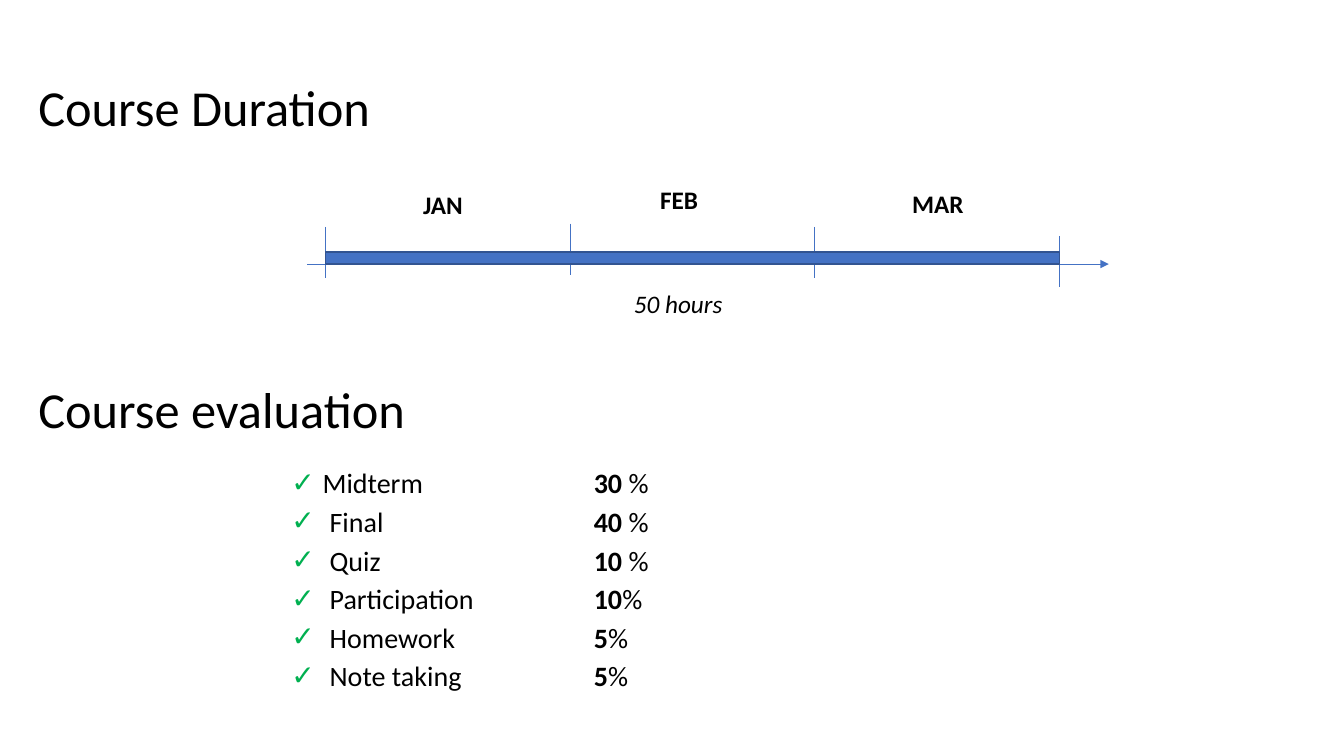
from typing import NamedTuple

from lxml.etree import SubElement
from pptx import Presentation
from pptx.dml.color import RGBColor
from pptx.enum.shapes import MSO_CONNECTOR, MSO_SHAPE
from pptx.enum.text import MSO_ANCHOR, MSO_AUTO_SIZE, PP_ALIGN
from pptx.oxml.ns import qn
from pptx.util import Inches, Pt

BLACK = RGBColor(0x00, 0x00, 0x00)
BLUE = RGBColor(0x44, 0x72, 0xC4)
NAVY = RGBColor(0x32, 0x54, 0x91)
GREEN = RGBColor(0x00, 0xB0, 0x50)

WIDTH, HEIGHT = Inches(13.33), Inches(7.5)
COL, ROW = WIDTH / 40, HEIGHT / 30

START, MONTH = 9.69, 7.28  # columns
AXIS, TICK = 10.48, 2.04  # rows
TAB = Inches(3)


class Box(NamedTuple):
    left: float
    top: float
    width: float
    height: float


class Label(NamedTuple):
    text: str
    box: Box
    style: dict


class Grade(NamedTuple):
    name: str
    share: str
    unit: str
    indent: float = 0.38


BOLD = {"size": Pt(18), "bold": True}
ITALIC = {"size": Pt(18), "italic": True}
HEAD = {"size": Pt(36)}
LIST = {"size": Pt(20), "bold": False}

LABELS = [
    Label("JAN", Box(12.3, 7.32, 1.8, 1.6), BOLD),
    Label("FEB", Box(19.35, 7.12, 1.74, 1.6), BOLD),
    Label("MAR", Box(26.85, 7.28, 2.16, 1.6), BOLD),
    Label("50 hours", Box(18.57, 11.24, 3.3, 1.6), ITALIC),
]
TICKS = [9, 8.88, 9, 9.36]
GRADES = [
    Grade("Midterm", "30", " %", 0.31),
    Grade("Final", "40", " %"),
    Grade("Quiz", "10", " %"),
    Grade("Participation", "10", "%"),
    Grade("Homework", "5", "%"),
    Grade("Note taking", "5", "%"),
]


def place(box: Box) -> list[int]:
    """Turn grid columns and rows into slide lengths."""
    return [round(v * unit) for v, unit in zip(box, (COL, ROW, COL, ROW))]


def move(shape, box: Box) -> None:
    for name, value in zip(Box._fields, place(box)):
        setattr(shape, name, value)


def write(para, text: str, style: dict) -> None:
    run = para.add_run()
    run.text = text
    for name, value in {"name": "Calibri", **style}.items():
        setattr(run.font, name, value)
    run.font.color.rgb = BLACK


def add_label(slide, label: Label) -> None:
    frame = slide.shapes.add_textbox(*place(label.box)).text_frame
    frame.word_wrap = False
    write(frame.paragraphs[0], label.text, label.style)


def add_head(shape, text: str, top: float) -> None:
    move(shape, Box(0.75, top, 14.67, 2.96))
    frame = shape.text_frame
    style = {
        "word_wrap": True,
        "auto_size": MSO_AUTO_SIZE.NONE,
        "vertical_anchor": MSO_ANCHOR.TOP,
        "margin_left": Inches(0.13),
        "margin_right": Inches(0.13),
        "margin_top": Inches(0.07),
        "margin_bottom": Inches(0.07),
    }
    for name, value in style.items():
        setattr(frame, name, value)
    para = frame.paragraphs[0]
    para.alignment = PP_ALIGN.LEFT
    write(para, text, HEAD)


def add_line(slide, left: float, top: float, width: float, height: float):
    x, y, w, h = place(Box(left, top, width, height))
    line = slide.shapes.add_connector(MSO_CONNECTOR.STRAIGHT, x, y, x + w, y + h)
    line.line.color.rgb = BLUE
    line.line.width = Pt(0.5)
    SubElement(line._element.spPr, qn("a:effectLst"))
    return line


def add_time(slide) -> None:
    """Draw the arrow, the month ticks and the bar over them."""
    axis = add_line(slide, 9.15, AXIS, 23.85, 0)
    SubElement(axis.line._get_or_add_ln(), qn("a:tailEnd"), type="triangle")
    for i, top in enumerate(TICKS):
        add_line(slide, START + i * MONTH, top, 0, TICK)
    box = Box(START, 10, 3 * MONTH, 0.48)
    bar = slide.shapes.add_shape(MSO_SHAPE.RECTANGLE, *place(box))
    bar.shadow.inherit = False
    bar.fill.solid()
    bar.fill.fore_color.rgb = BLUE
    bar.line.color.rgb = NAVY
    bar.line.width = Pt(1)


def add_grade(para, grade: Grade) -> None:
    props = para._p.get_or_add_pPr()
    indent = Inches(grade.indent)
    props.set("marL", str(indent))
    props.set("indent", str(-indent))
    color = SubElement(props, qn("a:buClr"))
    SubElement(color, qn("a:srgbClr"), val=str(GREEN))
    SubElement(props, qn("a:buChar"), char="✓")
    tabs = SubElement(props, qn("a:tabLst"))
    SubElement(tabs, qn("a:tab"), pos=str(TAB), algn="l")
    style = {
        "alignment": PP_ALIGN.JUSTIFY,
        "line_spacing": 1.15,
        "space_before": Pt(0),
    }
    for name, value in style.items():
        setattr(para, name, value)
    write(para, f"{grade.name}\t", LIST)
    write(para, grade.share, {**LIST, "bold": True})
    write(para, grade.unit, LIST)


def add_list(body) -> None:
    move(body, Box(8.37, 18.08, 24.63, 9.6))
    frame = body.text_frame
    frame.auto_size = MSO_AUTO_SIZE.NONE
    for i, grade in enumerate(GRADES):
        add_grade(frame.add_paragraph() if i else frame.paragraphs[0], grade)


def main() -> None:
    deck = Presentation()
    deck.slide_width, deck.slide_height = WIDTH, HEIGHT
    slide = deck.slides.add_slide(deck.slide_layouts[1])
    add_list(slide.placeholders[1])
    add_head(slide.shapes.title, "Course Duration", 2.72)
    add_time(slide)
    for label in LABELS:
        add_label(slide, label)
    second = slide.shapes.add_textbox(0, 0, 0, 0)
    add_head(second, "Course evaluation", 14.72)
    deck.save("out.pptx")


if __name__ == "__main__":
    main()
